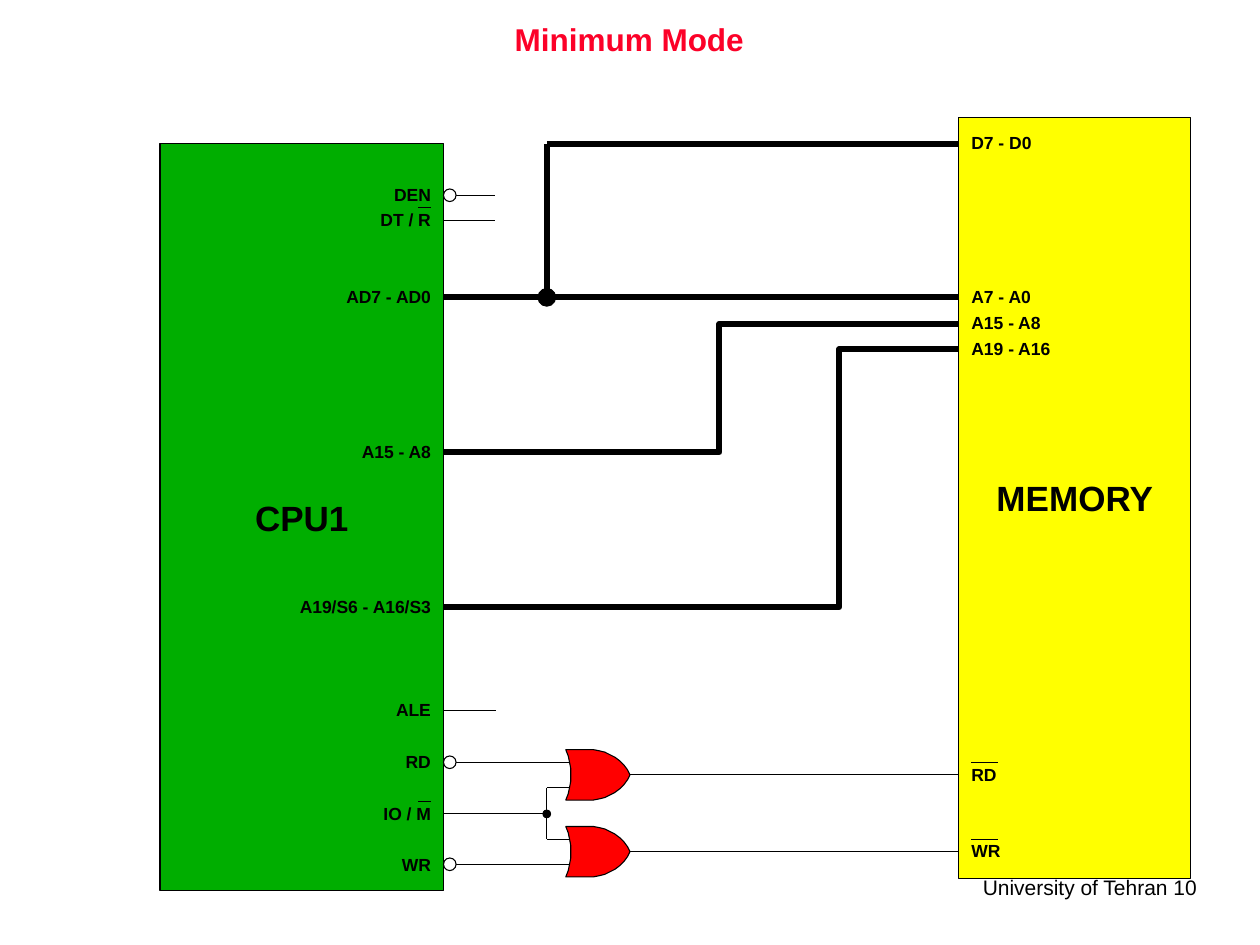
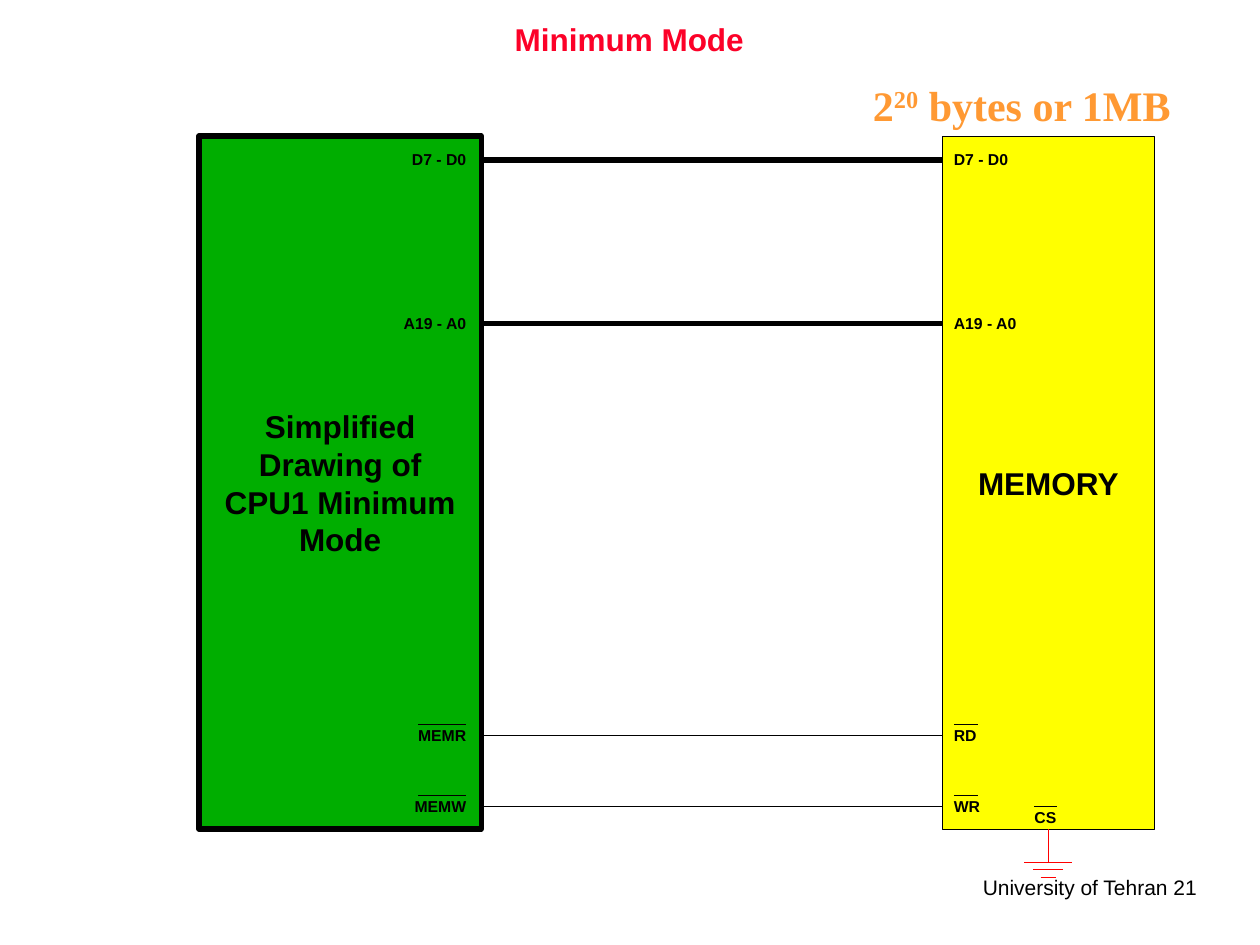
from pptx import Presentation
from pptx.dml.color import RGBColor
from pptx.enum import shapes, text
from pptx.oxml.ns import qn
from pptx.util import Emu, Pt
from lxml import etree

PX = 9144  # 100 px to the inch
BLACK, WHITE, RED = "000000", "FFFFFF", "FF0000"
TITLE_RED, ORANGE = "FC0128", "FF9933"
CPU_GREEN, MEMORY_YELLOW = "00AE00", "FFFF00"
LEFT, CENTER, RIGHT = text.PP_ALIGN.LEFT, text.PP_ALIGN.CENTER, text.PP_ALIGN.RIGHT
MIDDLE = text.MSO_ANCHOR.MIDDLE
THIN, BUS = 0.63, 3.38
CPU_NAME = "CPU1"

# Upper half of an OR gate, from its left edge and middle line
GATE_FRONT = [(22, -20), (27, -19), (31, -18), (35, -16), (39, -14),
              (43, -11), (46, -8), (49, -4), (51, 0)]
GATE_BACK = [(0, -20), (2, -15), (3, -10), (4, -5), (4, 0)]


def px(*values):
    return [Emu(v * PX) for v in values]


def rgb(color):
    return RGBColor.from_string(color)


def style(sp, fill, line, width):
    sp.shadow.inherit = False
    if fill:
        sp.fill.solid()
        sp.fill.fore_color.rgb = rgb(fill)
    else:
        sp.fill.background()
    sp.line.color.rgb = rgb(line)
    sp.line.width = Pt(width)


def add_run(p, content, size, color=BLACK, bold=True, font="Arial"):
    r = p.add_run()
    r.text = content
    r.font.name, r.font.size, r.font.bold = font, Pt(size), bold
    r.font.color.rgb = rgb(color)
    return r


def add_box(s, x, y, w, h, align, wrap=True, margins=(10, 5, 10, 5)):
    """Add a text box and return its frame and first paragraph."""
    tf = s.shapes.add_textbox(*px(x, y, w, h)).text_frame
    tf.word_wrap = wrap
    tf.margin_left, tf.margin_top, tf.margin_right, tf.margin_bottom = px(*margins)
    p = tf.paragraphs[0]
    p.alignment = align
    return tf, p


def add_base(prs, number):
    """Add a slide with the shared title and footer."""
    s = prs.slides.add_slide(prs.slide_layouts[6])
    footer = add_box(s, 766, 689, 194, 30, RIGHT)[1]
    add_run(footer, f"University of Tehran {number}", 12, bold=False)
    tf, p = add_box(s, 108, 8, 783, 50, CENTER)
    tf.vertical_anchor = MIDDLE
    p.line_spacing = 0.9
    add_run(p, "Minimum Mode", 18, TITLE_RED)
    return s


def add_chip(s, x, y, w, h, fill, width, name, size):
    sp = s.shapes.add_shape(shapes.MSO_SHAPE.RECTANGLE, *px(x, y, w, h))
    style(sp, fill, BLACK, width)
    tf = sp.text_frame
    tf.vertical_anchor = MIDDLE
    for i, row in enumerate(name):
        p = tf.paragraphs[0] if i == 0 else tf.add_paragraph()
        p.alignment = CENTER
        add_run(p, row, size)
    return sp


def add_wire(s, x1, y1, x2, y2, width=THIN, color=BLACK):
    line = s.shapes.add_connector(shapes.MSO_CONNECTOR.STRAIGHT, *px(x1, y1, x2, y2))
    line.line.color.rgb = rgb(color)
    line.line.width = Pt(width)
    etree.SubElement(line._element.spPr, qn("a:effectLst"))
    return line


def add_outline(s, points, fill=None, width=THIN, close=False):
    builder = s.shapes.build_freeform(*points[0], scale=PX)
    builder.add_line_segments(points[1:], close=close)
    style(builder.convert_to_shape(), fill, BLACK, width)


def add_gate(s, x, y):
    lower_front = [(dx, -dy) for dx, dy in GATE_FRONT[-2::-1]]
    lower_back = [(dx, -dy) for dx, dy in GATE_BACK]
    points = GATE_FRONT + lower_front + lower_back + GATE_BACK[-2::-1]
    add_outline(s, [(x + dx, y + dy) for dx, dy in points], RED, close=True)


def add_circle(s, x, y, d, fill):
    sp = s.shapes.add_shape(shapes.MSO_SHAPE.OVAL, *px(x, y, d, d))
    style(sp, fill, BLACK, THIN)


def add_pins(s, edge, pins, size, width, align=LEFT):
    """Label pins (name, y, box width, overbar length) along a vertical edge."""
    h = round(size * 1.9)
    for name, y, w, bar in pins:
        x, top = (edge - w if align == RIGHT else edge), y - h // 2
        p = add_box(s, x, top, w, h, align, False, (0, 0, 0, 0))[1]
        add_run(p, name, size)
        if bar:
            bar_x = edge - bar if align == RIGHT else edge
            add_wire(s, bar_x, top - 1, bar_x + bar, top - 1, width)


def build_full_circuit(prs):
    s = add_base(prs, 10)
    cpu, memory, tap, bubble = 352, 761, 434, 10
    add_chip(s, memory, 93, 184, 604, MEMORY_YELLOW, THIN, ["MEMORY"], 20)

    for y, direction in ((615, -1), (676, 1)):
        add_gate(s, 449, y)
        add_wire(s, 500, y, memory, y)
        add_wire(s, cpu + bubble, y + 10 * direction, 452, y + 10 * direction)
        add_wire(s, tap, y - 10 * direction, 452, y - 10 * direction)
    add_wire(s, tap, 625, tap, 666)
    add_wire(s, cpu + bubble, 155, 393, 155)
    for y, end in ((175, 393), (564, 394), (646, tap)):
        add_wire(s, cpu, y, end, y)

    add_wire(s, cpu, 236, memory, 236, BUS)
    add_wire(s, tap, 114, tap, 236, BUS)
    add_wire(s, tap, 114, memory, 114, BUS)
    for y, bend, target in ((359, 571, 257), (482, 666, 277)):
        add_outline(s, [(cpu, y), (bend, y), (bend, target), (memory, target)], width=BUS)
    for y, d in ((236, 14), (646, 6)):
        add_circle(s, tap - d // 2, y - d // 2, d, BLACK)

    add_chip(s, 127, 114, 225, 593, CPU_GREEN, THIN, [CPU_NAME], 20)
    for y in (155, 605, 686):
        add_circle(s, cpu, y - bubble // 2, bubble, WHITE)
    add_pins(s, 771, [
        ("D7 - D0", 114, 54, 0), ("A7 - A0", 236, 54, 0),
        ("A15 - A8", 257, 61, 0), ("A19 - A16", 277, 69, 0),
        ("RD", 615, 26, 21), ("WR", 676, 29, 21)], 10, THIN)
    add_pins(s, 342, [
        ("DEN", 155, 35, 0), ("DT / R", 175, 46, 10),
        ("AD7 - AD0", 236, 73, 0), ("A15 - A8", 359, 61, 0),
        ("A19/S6 - A16/S3", 482, 110, 0), ("ALE", 564, 34, 0),
        ("RD", 605, 26, 0), ("IO / M", 646, 44, 10),
        ("WR", 687, 29, 0)], 10, THIN, RIGHT)


def add_ground(s, chip):
    x, top = 832, 684
    lead = add_wire(s, x, 658, x, top, 0.13, RED)
    lead.begin_connect(chip, 2)
    for i, half in enumerate((19, 12, 6)):
        add_wire(s, x - half, top + 6 * i, x + half, top + 6 * i, 0.13, RED)


def build_simplified_circuit(prs):
    s = add_base(prs, 21)
    cpu, memory, thin, bus = 382, 748, 0.5, 3
    memory_chip = add_chip(s, memory, 108, 168, 550, MEMORY_YELLOW, thin, ["MEMORY"], 18)
    for y, width in ((127, bus), (257, bus), (584, thin), (640, thin)):
        add_wire(s, cpu, y, memory, y, width)
    add_chip(s, 158, 108, 224, 550, CPU_GREEN, bus,
             ["Simplified", "Drawing of", f"{CPU_NAME} Minimum", "Mode"], 18)
    shared = [("D7 - D0", 127, 49, 0), ("A19 - A0", 257, 55, 0)]
    add_pins(s, 757, shared + [("RD", 584, 24, 19), ("WR", 640, 27, 19)], 9, thin)
    add_pins(s, 370, shared + [("MEMR", 584, 44, 38), ("MEMW", 640, 47, 38)],
             9, thin, RIGHT)
    add_pins(s, 821, [("CS", 649, 23, 18)], 9, thin)
    add_ground(s, memory_chip)

    p = add_box(s, 683, 58, 275, 50, LEFT)[1]
    for content, baseline in (("2", 0), ("20", 30000), (" bytes or 1MB", 0)):
        r = add_run(p, content, 24, ORANGE, font="Times New Roman")
        if baseline:
            r.font._element.set("baseline", str(baseline))


def main():
    prs = Presentation()
    prs.slide_width, prs.slide_height = px(1000, 750)
    build_full_circuit(prs)
    build_simplified_circuit(prs)
    prs.save("out.pptx")


if __name__ == "__main__":
    main()
